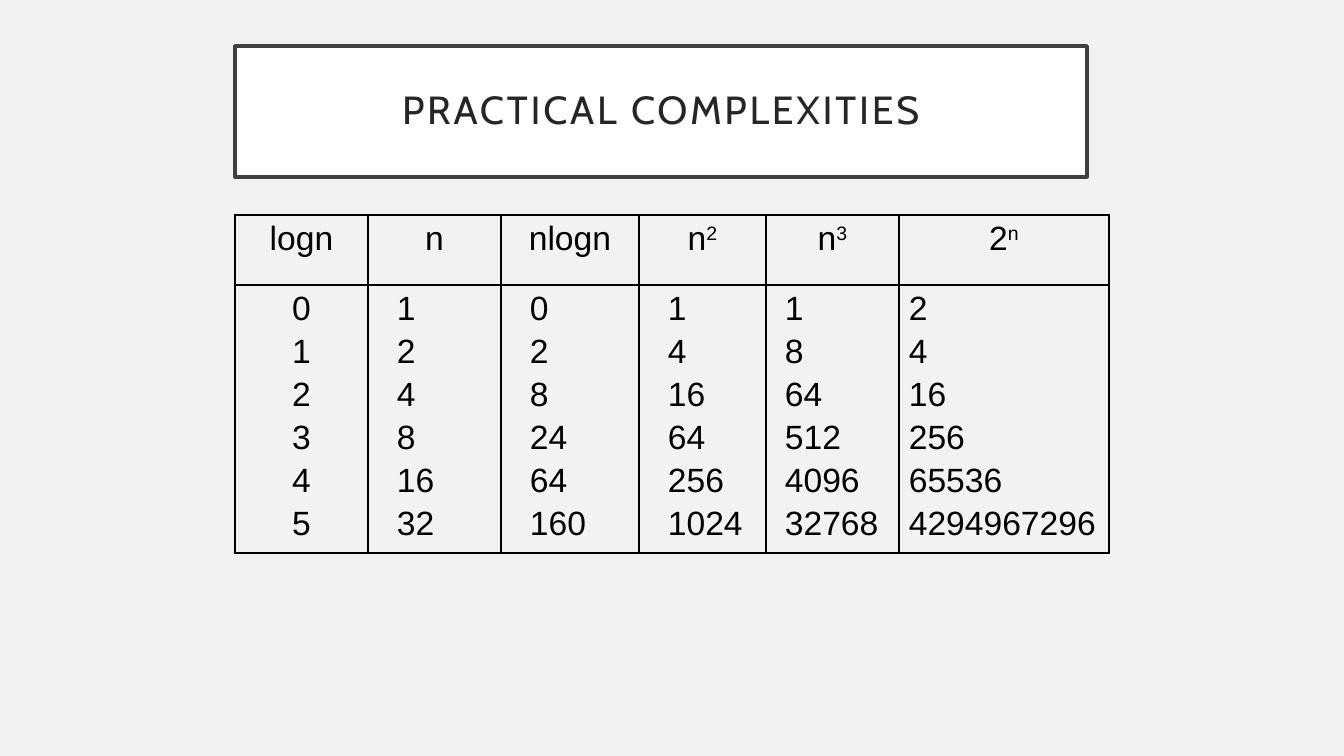
from lxml import etree
from pptx import Presentation
from pptx import util as u
from pptx.dml.color import RGBColor
from pptx.enum import text
from pptx.oxml import ns

SCALE = 914400 / 100.8


def px(n):
    """Turn pixels into EMU."""
    return u.Emu(round(n * SCALE))


def write(par, words, size, font, color, **attrs):
    """Add one formatted run to a paragraph."""
    run = par.add_run()
    run.text = words
    run.font.size = u.Pt(size)
    run.font.name = font
    run.font.color.rgb = RGBColor.from_string(color)
    for key, val in attrs.items():
        run._r.get_or_add_rPr().set(key, val)


deck = Presentation()
deck.slide_width, deck.slide_height = px(1344), px(756)
slide = deck.slides.add_slide(deck.slide_layouts[5])
slide.background.fill.solid()
slide.background.fill.fore_color.rgb = RGBColor.from_string("F2F2F2")

# Title box
title = slide.shapes.title
title.left, title.top, title.width, title.height = px(235), px(46), px(852), px(131)
title.fill.solid()
title.fill.fore_color.rgb = RGBColor.from_string("FFFFFF")
title.line.color.rgb = RGBColor.from_string("404040")
title.line.width = u.Pt(2.5)
frame = title.text_frame
frame.word_wrap = True
frame.vertical_anchor = text.MSO_ANCHOR.MIDDLE
frame.margin_left = frame.margin_right = frame.margin_top = frame.margin_bottom = px(20)
par = frame.paragraphs[0]
par.alignment = text.PP_ALIGN.CENTER
par.line_spacing = 0.9
write(par, "PRACTICAL COMPLEXITIES", 28, "Cabin", "262626", spc="200")

# Growth of each complexity: base, exponent, value at log n = k, left inset
growth = [
    ("logn", "", lambda k: k, 10),
    ("n", "", lambda k: 2 ** k, 29),
    ("nlogn", "", lambda k: k * 2 ** k, 29),
    ("n", "2", lambda k: 4 ** k, 29),
    ("n", "3", lambda k: 8 ** k, 19),
    ("2", "n", lambda k: 2 ** 2 ** k, 10),
]
wides = [133, 133, 138, 127, 133, 210]
highs = [70, 268]
grid = slide.shapes.add_table(2, 6, px(235), px(215), px(sum(wides)), px(sum(highs))).table
grid.first_row = grid.horz_banding = False
for row, high in zip(grid.rows, highs):
    row.height = px(high)

for c, (base, power, value, inset) in enumerate(growth):
    grid.columns[c].width = px(wides[c])
    head, body = grid.cell(0, c), grid.cell(1, c)

    par = head.text_frame.paragraphs[0]
    par.alignment = text.PP_ALIGN.CENTER
    write(par, base, 24, "Arial", "000000")
    if power:
        write(par, power, 24, "Arial", "000000", baseline="30000")

    body.margin_left = px(inset)
    body.margin_right = px(10 if c == 0 else 0)
    for k in range(6):
        par = body.text_frame.add_paragraph() if k else body.text_frame.paragraphs[0]
        par.alignment = text.PP_ALIGN.LEFT if c else text.PP_ALIGN.CENTER
        par.space_before = u.Pt(4 if k else 0)
        write(par, str(value(k)), 24, "Arial", "000000")

    # Heavy lines outside, thin lines inside
    for r, cell in enumerate((head, body)):
        outer = {"L": c == 0, "R": c == 5, "T": r == 0, "B": r == 1}
        for side, heavy in outer.items():
            line = etree.SubElement(cell._tc.get_or_add_tcPr(), ns.qn("a:ln" + side))
            line.set("w", str(u.Pt(2.25 if heavy else 1)))
            fill = etree.SubElement(line, ns.qn("a:solidFill"))
            etree.SubElement(fill, ns.qn("a:srgbClr")).set("val", "000000")
        cell.fill.background()

deck.save("out.pptx")
